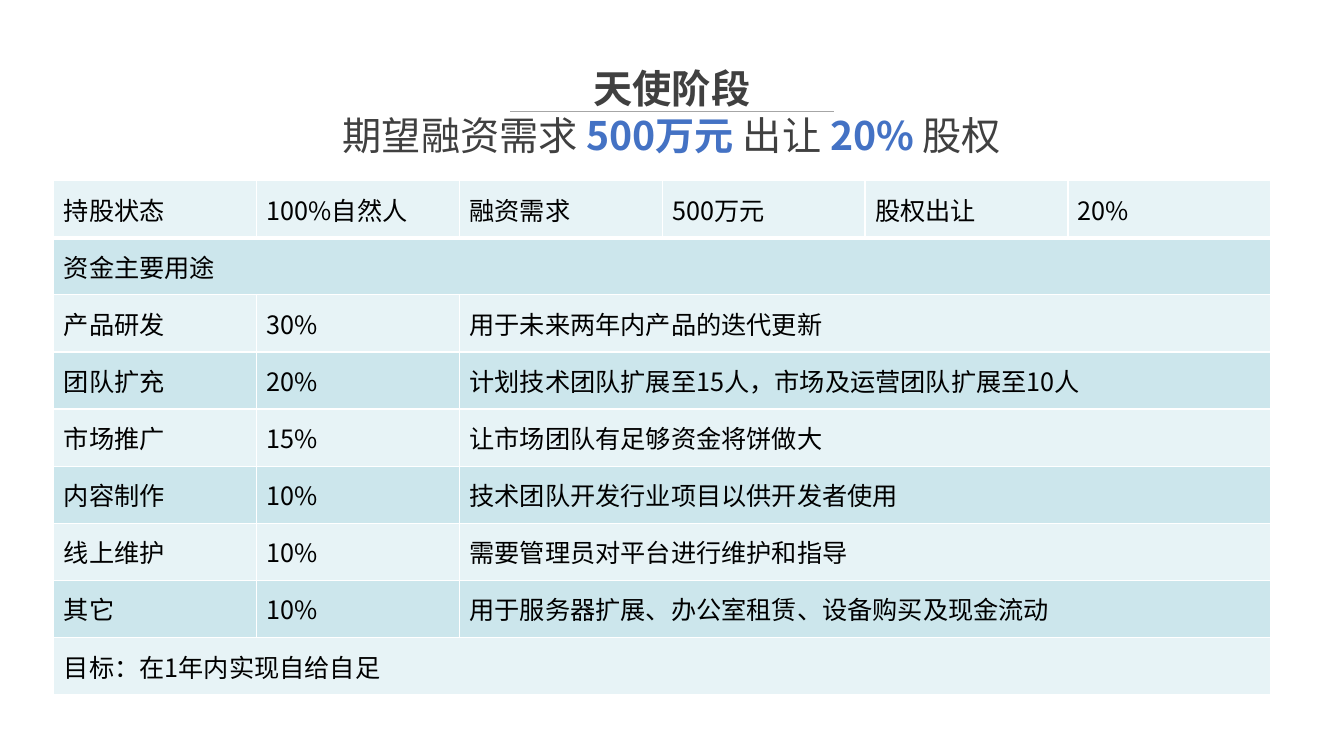
"""Build the angel-round financing slide with its funding table."""
import dataclasses

import pptx
import pptx.dml.color
import pptx.enum.shapes
import pptx.enum.text
import pptx.oxml
import pptx.oxml.ns
import pptx.util
from lxml import etree

Pt = pptx.util.Pt
qn = pptx.oxml.ns.qn


@dataclasses.dataclass(frozen=True)
class Theme:
    font: str = "Noto Sans CJK SC"
    heading: str = "404040"
    accent: str = "4472C4"
    rule: str = "A6A6A6"
    body: str = "000000"
    border: str = "FFFFFF"
    bands: tuple = ("E7F3F6", "CCE6EC")
    heading_size: int = 28
    body_size: int = 18


theme = Theme()


def add_run(paragraph, text, size, color, bold=False):
    run = paragraph.add_run()
    run.text = text
    run.font.size = Pt(size)
    run.font.bold = bold
    run.font.name = theme.font
    run.font.color.rgb = pptx.dml.color.RGBColor.from_string(color)
    east_asian = etree.SubElement(run.font._element, qn("a:ea"))
    east_asian.set("typeface", theme.font)


def set_borders(cell, widths):
    properties = cell._tc.get_or_add_tcPr()
    for position, (side, width) in enumerate(widths.items()):
        border = pptx.oxml.parse_xml(
            f'<a:{side} xmlns:a="http://schemas.openxmlformats.org/drawingml/2006/main" '
            f'w="{Pt(width)}"><a:solidFill><a:srgbClr val="{theme.border}"/>'
            f'</a:solidFill></a:{side}>'
        )
        properties.insert(position, border)


presentation = pptx.Presentation()
presentation.slide_width = Pt(960)
presentation.slide_height = Pt(540)
slide = presentation.slides.add_slide(presentation.slide_layouts[6])

heading = slide.shapes.add_textbox(Pt(224), Pt(40.3), Pt(512), Pt(77)).text_frame
heading.word_wrap = True
heading.margin_top = Pt(5)
heading_lines = [
    [("天使阶段", theme.heading, True)],
    [
        ("期望融资需求 ", theme.heading, False),
        ("500万元 ", theme.accent, True),
        ("出让 ", theme.heading, False),
        ("20% ", theme.accent, True),
        ("股权", theme.heading, False),
    ],
]
for index, heading_line in enumerate(heading_lines):
    paragraph = heading.add_paragraph() if index else heading.paragraphs[0]
    paragraph.alignment = pptx.enum.text.PP_ALIGN.CENTER
    paragraph.line_spacing = Pt(34)
    for text, color, bold in heading_line:
        add_run(paragraph, text, theme.heading_size, color, bold)

title_rule = slide.shapes.add_connector(
    pptx.enum.shapes.MSO_CONNECTOR.STRAIGHT, Pt(364.3), Pt(79.2), Pt(595.5), Pt(79.2)
)
title_rule.line.color.rgb = pptx.dml.color.RGBColor.from_string(theme.rule)
title_rule.line.width = Pt(0.5)
etree.SubElement(title_rule._element.spPr, qn("a:effectLst"))

funding_rows = [
    ["持股状态", "100%自然人", "融资需求", "500万元", "股权出让", "20%"],
    ["资金主要用途"],
    ["产品研发", "30%", "用于未来两年内产品的迭代更新"],
    ["团队扩充", "20%", "计划技术团队扩展至15人，市场及运营团队扩展至10人"],
    ["市场推广", "15%", "让市场团队有足够资金将饼做大"],
    ["内容制作", "10%", "技术团队开发行业项目以供开发者使用"],
    ["线上维护", "10%", "需要管理员对平台进行维护和指导"],
    ["其它", "10%", "用于服务器扩展、办公室租赁、设备购买及现金流动"],
    ["目标：在1年内实现自给自足"],
]
column_count = len(funding_rows[0])
funding = slide.shapes.add_table(
    len(funding_rows), column_count, Pt(38.4), Pt(129), Pt(869.4), Pt(367.2)
).table
funding.first_row = False
funding.horz_banding = False

for row_index, entries in enumerate(funding_rows):
    funding.rows[row_index].height = Pt(40.8)
    widths = {
        "lnL": 1,
        "lnR": 1,
        "lnT": 3 if row_index == 1 else 1,
        "lnB": 3 if row_index == 0 else 1,
    }
    for column_index in range(column_count):
        cell = funding.cell(row_index, column_index)
        cell.vertical_anchor = pptx.enum.text.MSO_ANCHOR.MIDDLE
        cell.fill.solid()
        cell.fill.fore_color.rgb = pptx.dml.color.RGBColor.from_string(
            theme.bands[row_index % 2]
        )
        set_borders(cell, widths)
        if column_index < len(entries):
            add_run(
                cell.text_frame.paragraphs[0],
                entries[column_index],
                theme.body_size,
                theme.body,
            )
    if len(entries) < column_count:
        funding.cell(row_index, len(entries) - 1).merge(
            funding.cell(row_index, column_count - 1)
        )

presentation.save("out.pptx")
